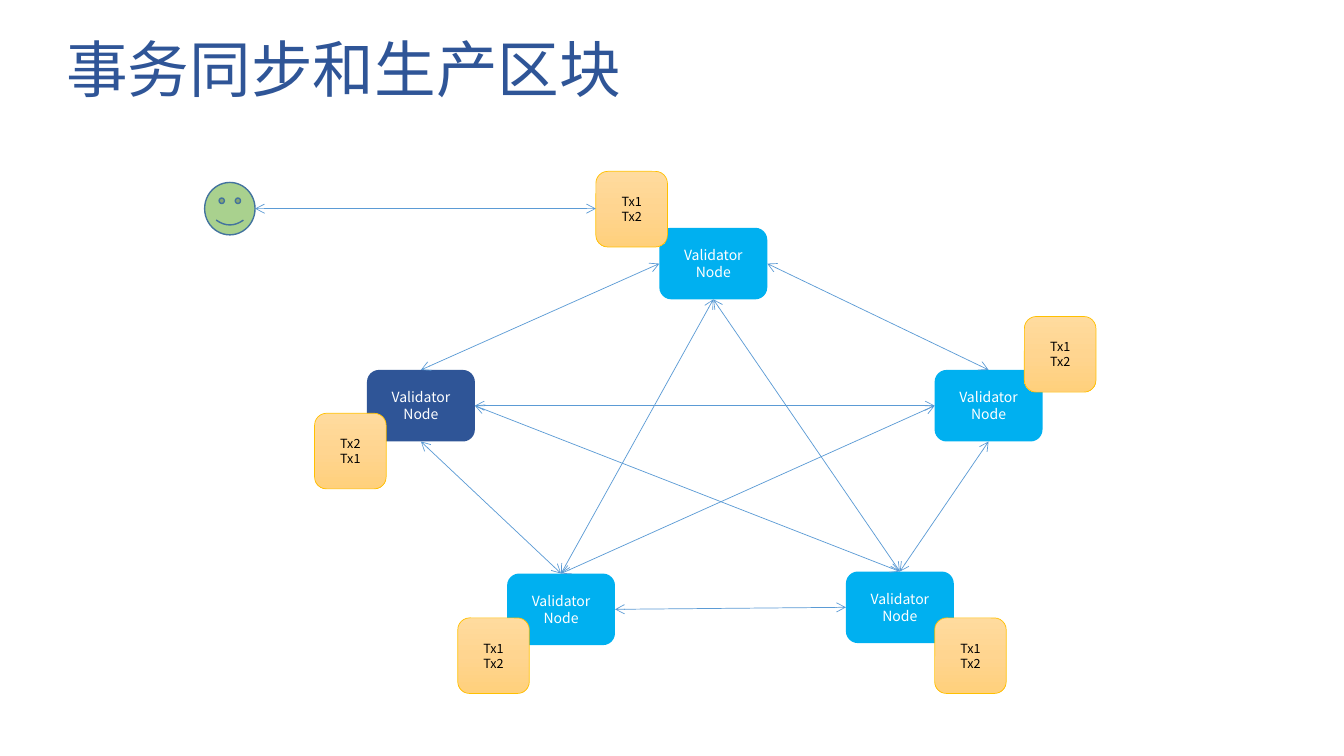
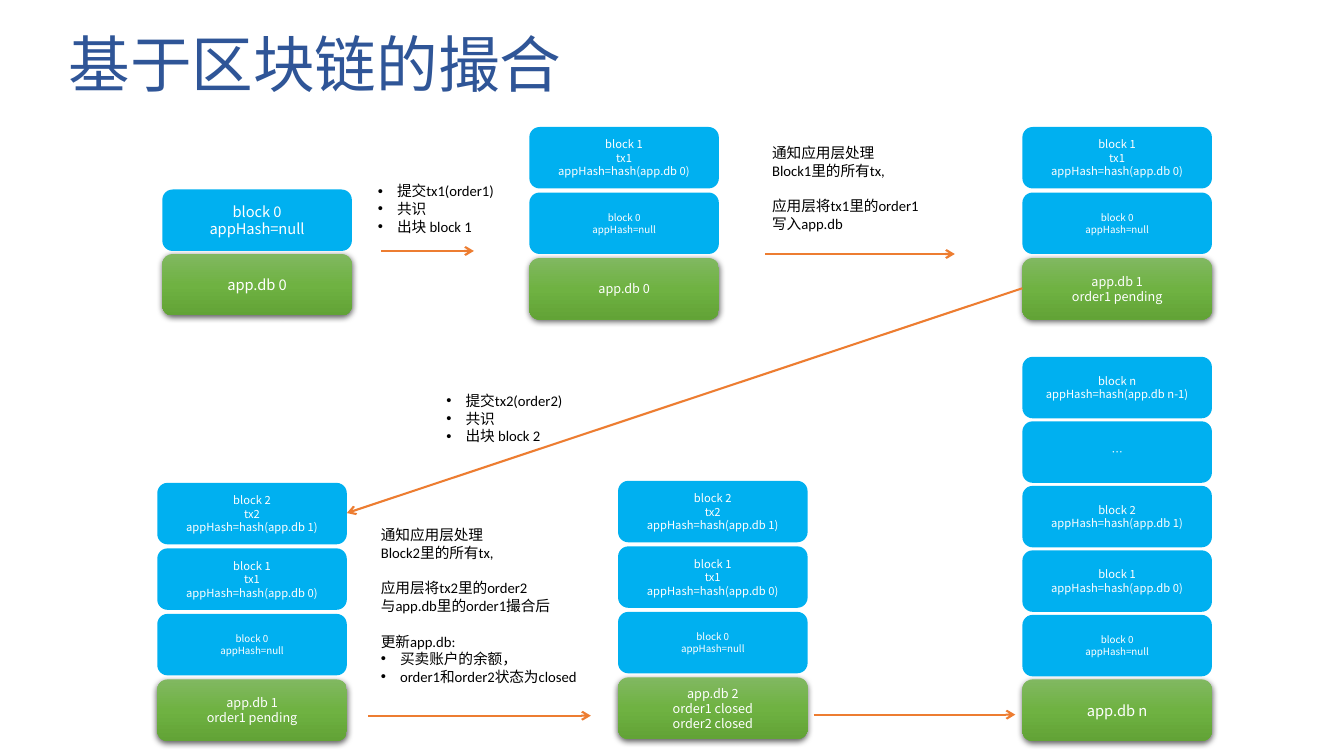
import copy

from lxml import etree
from pptx import Presentation
from pptx import util as u
from pptx.dml.color import RGBColor
from pptx.enum import shapes, text
from pptx.oxml import ns

# Shared style
NAVY = RGBColor(0x2F, 0x55, 0x97)
SKY = RGBColor(0x00, 0xB0, 0xF0)
BLUE = RGBColor(0x5B, 0x9B, 0xD5)
STEEL = RGBColor(0x43, 0x73, 0x9E)
ORANGE = RGBColor(0xED, 0x7D, 0x31)
GOLD = RGBColor(0xFF, 0xC0, 0x00)
LEAF = RGBColor(0xA9, 0xD1, 0x8E)
WHITE = RGBColor(0xFF, 0xFF, 0xFF)
BLACK = RGBColor(0x00, 0x00, 0x00)
AMBER_FADE = [RGBColor.from_string(c) for c in ("FFDB9E", "FFD590", "FFD07C")]
GREEN_FADE = [RGBColor.from_string(c) for c in ("81B861", "6FB242", "62A336")]
BODY_FONT, SHAPE_FONT = "Calibri", "Noto Sans CJK SC"
ROUNDED = shapes.MSO_SHAPE.ROUNDED_RECTANGLE
TOP, LEFT, BOTTOM, RIGHT = range(4)


def add_xml(parent, tag, **attributes):
    return etree.SubElement(parent, ns.qn(tag), attributes)


def write(frame, lines, size=10.5, color=BLACK, font=BODY_FONT, align=None,
          leading=None, bullets=(), gaps=()):
    """Fill a frame; bullets and gaps hold the numbers of the lines concerned."""
    frame.word_wrap = True
    for number, line in enumerate(lines):
        para = frame.paragraphs[0] if number == 0 else frame.add_paragraph()
        para.alignment = align
        if leading:
            para.line_spacing = u.Pt(leading)
        if number in gaps:
            para.space_before = u.Pt(12.8)
        if number in bullets:
            indent = u.Inches(0.19)
            props = para._p.get_or_add_pPr()
            props.set("marL", str(indent))
            props.set("indent", str(-indent))
            add_xml(props, "a:buFont", typeface="Arial")
            add_xml(props, "a:buChar", char="•")
        span = para.add_run()
        span.text = line
        span.font.size = u.Pt(size)
        span.font.name = font
        span.font.color.rgb = color
        if font == SHAPE_FONT:
            add_xml(span.font._element, "a:ea", typeface=font)


class Painter:
    def __init__(self):
        self.deck = Presentation()
        self.deck.slide_width = u.Inches(13.33)
        self.deck.slide_height = u.Inches(7.5)
        self.page = None

    def new_page(self, title, left, top):
        self.page = self.deck.slides.add_slide(self.deck.slide_layouts[6])
        self.note(left, top, 6.55, 0.84, [title], size=44, color=NAVY)

    def note(self, left, top, width, height, lines, **style):
        box = self.page.shapes.add_textbox(*map(u.Inches, (left, top, width, height)))
        write(box.text_frame, lines, **style)

    def shape(self, left, top, width, height, fill, kind=ROUNDED, outline=None,
              weight=0.5, shadow=False, lines=(), size=10, color=WHITE):
        """Draw a shape; a list of colours as fill makes a downward fade."""
        box = self.page.shapes.add_shape(
            kind, *map(u.Inches, (left, top, width, height)))
        if isinstance(fill, list):
            self.fade(box, fill)
        else:
            box.fill.solid()
            box.fill.fore_color.rgb = fill
        if outline is None:
            box.line.fill.background()
        else:
            box.line.color.rgb = outline
            box.line.width = u.Pt(weight)
        box.shadow.inherit = False
        if shadow:
            self.drop_shadow(box)
        box.text_frame.vertical_anchor = text.MSO_ANCHOR.MIDDLE
        write(box.text_frame, lines, size=size, color=color, font=SHAPE_FONT,
              align=text.PP_ALIGN.CENTER, leading=1.2 * size)
        return box

    def fade(self, box, colors):
        box.fill.gradient()
        box.fill.gradient_angle = 270
        stops = box._element.spPr.find(".//" + ns.qn("a:gsLst"))
        stops.insert(1, copy.deepcopy(stops[0]))
        for number, (stop, color) in enumerate(zip(box.fill.gradient_stops, colors)):
            stop.position = number / 2
            stop.color.rgb = color

    def drop_shadow(self, box):
        effects = box._element.spPr.find(ns.qn("a:effectLst"))
        shadow = add_xml(effects, "a:outerShdw", blurRad=str(u.Pt(4.5)),
                         dist=str(u.Pt(1.5)), dir="5400000", algn="ctr",
                         rotWithShape="0")
        add_xml(add_xml(shadow, "a:srgbClr", val="000000"), "a:alpha", val="63000")

    def arrow(self, start=(0, 0), end=(0, 0), color=ORANGE, weight=1.5, both=False):
        line = self.page.shapes.add_connector(
            shapes.MSO_CONNECTOR.STRAIGHT, *map(u.Inches, (*start, *end)))
        line.line.color.rgb = color
        line.line.width = u.Pt(weight)
        outline = line.line._get_or_add_ln()
        if both:
            add_xml(outline, "a:headEnd", type="arrow")
        add_xml(outline, "a:tailEnd", type="arrow")
        add_xml(line._element.spPr, "a:effectLst")
        return line

    def link(self, first, first_side, second, second_side):
        line = self.arrow(color=BLUE, weight=0.5, both=True)
        line.begin_connect(first, first_side)
        line.end_connect(second, second_side)

    def stack(self, left, bottom, database, blocks, pitch=0.65):
        """Pile blocks upwards on an app.db base."""
        for level, (size, *lines) in enumerate([database, *blocks]):
            base = level == 0
            self.shape(left, bottom - level * pitch, 1.88, 0.61,
                       GREEN_FADE if base else SKY, shadow=base,
                       lines=lines, size=size)


painter = Painter()

# Slide 1: validator network
painter.new_page("事务同步和生产区块", 0.56, 0.26)
places = {
    "west": (3.64, 3.67, NAVY),
    "southwest": (5.03, 5.69, SKY),
    "north": (6.54, 2.26, SKY),
    "east": (9.27, 3.67, SKY),
    "southeast": (8.39, 5.67, SKY),
}
nodes = {name: painter.shape(left, top, 1.07, 0.71, fill, lines=["Validator Node"])
         for name, (left, top, fill) in places.items()}
for first, first_side, second, second_side in (
    ("north", RIGHT, "east", TOP),
    ("west", BOTTOM, "southwest", TOP),
    ("north", LEFT, "west", TOP),
    ("east", BOTTOM, "southeast", TOP),
    ("southwest", RIGHT, "southeast", LEFT),
    ("east", LEFT, "west", RIGHT),
    ("east", LEFT, "southwest", TOP),
    ("north", BOTTOM, "southwest", TOP),
    ("north", BOTTOM, "southeast", TOP),
    ("west", RIGHT, "southeast", TOP),
):
    painter.link(nodes[first], first_side, nodes[second], second_side)

# Transaction pools and the user
for left, top, *transactions in (
    (3.12, 4.1, "Tx2", "Tx1"),
    (5.91, 1.7, "Tx1", "Tx2"),
    (4.54, 6.13, "Tx1", "Tx2"),
    (9.27, 6.13, "Tx1", "Tx2"),
    (10.16, 3.14, "Tx1", "Tx2"),
):
    painter.shape(left, top, 0.71, 0.75, AMBER_FADE, outline=GOLD,
                  lines=transactions, size=9, color=BLACK)
painter.arrow((5.91, 2.07), (2.53, 2.07), color=BLUE, weight=0.5, both=True)
painter.shape(2.03, 1.81, 0.5, 0.52, LEAF, kind=shapes.MSO_SHAPE.SMILEY_FACE,
              outline=STEEL, weight=1)

# Slide 2: order matching, stack by stack
painter.new_page("基于区块链的撮合", 0.58, 0.21)
genesis = ("block 0", "appHash=null")
block_0 = (7, *genesis)
block_1 = (8, "block 1", "tx1", "appHash=hash(app.db 0)")
block_2 = (8, "block 2", "tx2", "appHash=hash(app.db 1)")
pending = (9, "app.db 1", "order1 pending")
closed = (9, "app.db 2", "order1 closed", "order2 closed")
chain = [
    block_0,
    (8, "block 1", "appHash=hash(app.db 0)"),
    (8, "block 2", "appHash=hash(app.db 1)"),
    (8, "…"),
    (8, "block n", "appHash=hash(app.db n-1)"),
]
painter.stack(1.61, 2.52, (10.5, "app.db 0"), [(10.5, *genesis)], pitch=0.64)
painter.stack(5.25, 2.56, (9, "app.db 0"), [block_0, block_1])
painter.stack(10.14, 2.56, pending, [block_0, block_1])
painter.stack(1.56, 6.74, pending, [block_0, block_1, block_2])
painter.stack(6.13, 6.72, closed, [block_0, block_1, block_2])
painter.stack(10.14, 6.74, (10.5, "app.db n"), chain, pitch=0.64)

# Steps between the stacks
for start, end in (
    ((3.78, 2.49), (4.7, 2.49)),
    ((7.59, 2.52), (9.47, 2.52)),
    ((10.14, 2.86), (3.44, 5.09)),
    ((3.65, 7.1), (5.86, 7.1)),
    ((8.07, 7.09), (10.07, 7.09)),
):
    painter.arrow(start, end)
for number, left, top in ((1, 3.65, 1.76), (2, 4.33, 3.84)):
    painter.note(left, top, 1.37, 0.63,
                 [f"提交tx{number}(order{number})", "共识", f"出块 block {number}"],
                 bullets=range(3))
painter.note(7.56, 1.38, 1.68, 0.98,
             ["通知应用层处理", "Block1里的所有tx,", "应用层将tx1里的order1",
              "写入app.db"], gaps=[2])
painter.note(3.68, 5.17, 2.17, 1.69,
             ["通知应用层处理", "Block2里的所有tx,", "应用层将tx2里的order2",
              "与app.db里的order1撮合后", "更新app.db:", "买卖账户的余额，",
              "order1和order2状态为closed"], gaps=[2, 4], bullets=[5, 6])

painter.deck.save("out.pptx")
